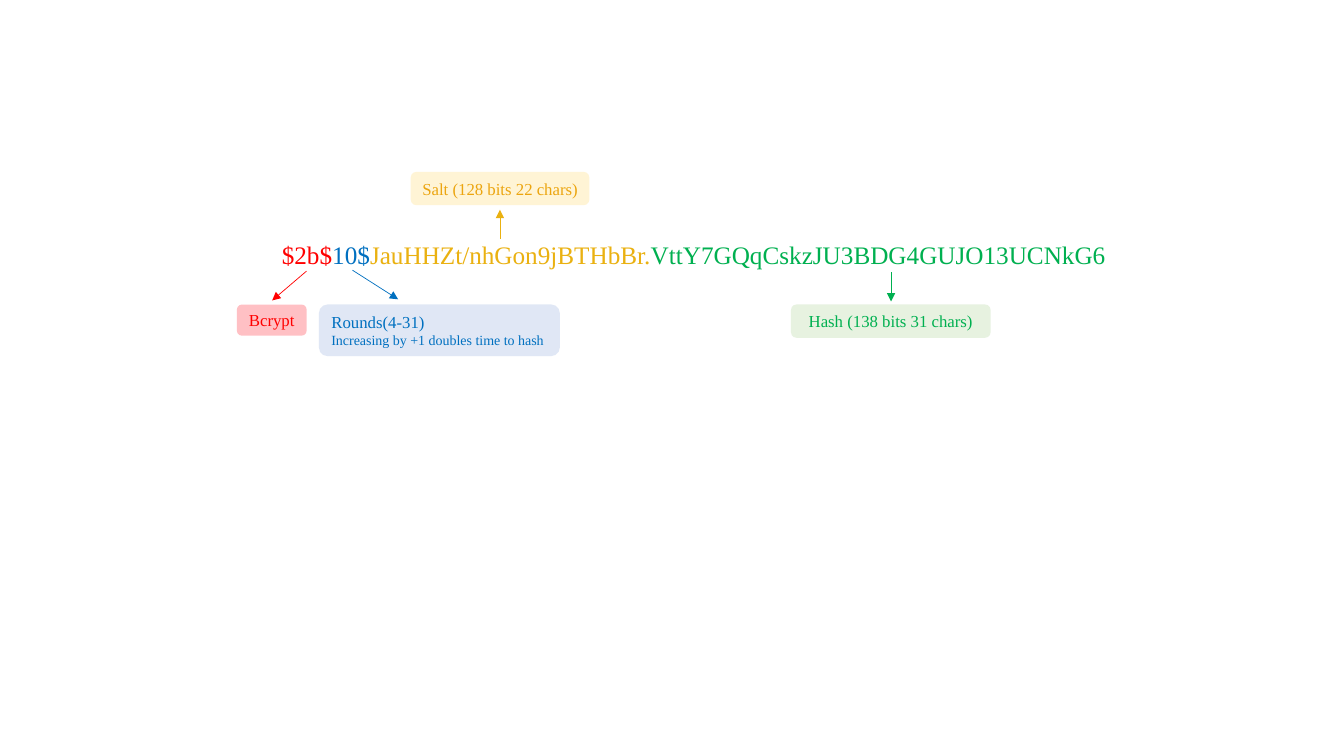
from pptx import Presentation
from pptx.dml.color import RGBColor
from pptx.enum.shapes import MSO_CONNECTOR, MSO_SHAPE
from pptx.enum.text import MSO_ANCHOR, MSO_AUTO_SIZE, PP_ALIGN
from pptx.oxml.ns import qn
from pptx.util import Pt
from lxml import etree

ROUND = MSO_SHAPE.ROUNDED_RECTANGLE
LINE = MSO_CONNECTOR.STRAIGHT
MIDDLE = MSO_ANCHOR.MIDDLE
GROW = MSO_AUTO_SIZE.SHAPE_TO_FIT_TEXT
LEFT, CENTER, JUSTIFY = PP_ALIGN.LEFT, PP_ALIGN.CENTER, PP_ALIGN.JUSTIFY

FONT = "Times New Roman"
ALPHA = "41000"
COLORS = {
    "red": "FF0000", "blue": "0070C0", "gold": "EAB111", "green": "00B050",
    "amber": "ECA50F", "pink": "FF6772", "sky": "B4C7E7", "cream": "FFE699",
    "mint": "C5E0B4",
}

# Parts of the hash string: text, color
PARTS = [
    ("$2b$", "red"),
    ("10$", "blue"),
    ("JauHHZt/nhGon9jBTHbBr.", "gold"),
    ("VttY7GQqCskzJU3BDG4GUJO13UCNkG6", "green"),
]
HASH_BOX = (194.2, 167.4, 612.7, 28.8)

# Labels: lines with sizes, box, fill, text color, alignment
ROW = 217.5
LABELS = [
    ([("Bcrypt", 12)], (169.2, ROW, 49.9, 22.3), "pink", "red", CENTER),
    ([("Rounds(4-31)", 12), ("Increasing by +1 doubles time to hash", 10)],
     (227.8, ROW, 172.1, 36.9), "sky", "blue", LEFT),
    ([("Salt (128 bits 22 chars)", 12)],
     (293.4, 122.8, 127.6, 23.8), "cream", "amber", LEFT),
    ([("Hash (138 bits 31 chars)", 12)],
     (565, ROW, 142.6, 23.8), "mint", "green", CENTER),
]

# Arrows: start x, start y, end x, end y, color
ARROWS = [
    (218.9, 193.7, 194.4, 214.6, "red"),
    (251.8, 193, 284.4, 213.8, "blue"),
    (357.1, 170.6, 357.1, 149.8, "gold"),
    (636.5, 194.4, 636.5, 215.3, "green"),
]


def rgb(name):
    return RGBColor.from_string(COLORS[name])


def style(run, size, color):
    run.font.name = FONT
    run.font.size = Pt(size)
    run.font.color.rgb = rgb(color)


def add_label(slide, lines, box, fill, color, align):
    shape = slide.shapes.add_shape(ROUND, *map(Pt, box))
    shape.shadow.inherit = False
    shape.line.fill.background()
    shape.fill.solid()
    shape.fill.fore_color.rgb = rgb(fill)
    tint = shape.fill._xPr.find(qn("a:solidFill"))[0]
    etree.SubElement(tint, qn("a:alpha"), val=ALPHA)
    frame = shape.text_frame
    frame.word_wrap = True
    frame.vertical_anchor = MIDDLE
    if align == LEFT:
        # Spare room on the right keeps each line whole
        frame.margin_right = Pt(2)
    frame.text = "\n".join(text for text, size in lines)
    for para, (text, size) in zip(frame.paragraphs, lines):
        para.alignment = align
        style(para.runs[0], size, color)


def add_arrow(slide, x1, y1, x2, y2, color):
    arrow = slide.shapes.add_connector(LINE, *map(Pt, (x1, y1, x2, y2)))
    arrow.line.width = Pt(0.5)
    arrow.line.color.rgb = rgb(color)
    etree.SubElement(arrow.line._get_or_add_ln(), qn("a:tailEnd"),
                     type="triangle")
    etree.SubElement(arrow._element.spPr, qn("a:effectLst"))


def main():
    deck = Presentation()
    deck.slide_width, deck.slide_height = Pt(960), Pt(540)
    slide = deck.slides.add_slide(deck.slide_layouts[6])

    # Hash string
    frame = slide.shapes.add_textbox(*map(Pt, HASH_BOX)).text_frame
    frame.word_wrap = True
    frame.auto_size = GROW
    para = frame.paragraphs[0]
    para.alignment = JUSTIFY
    for text, color in PARTS:
        run = para.add_run()
        run.text = text
        style(run, 18, color)

    # Labels and their arrows
    for label in LABELS:
        add_label(slide, *label)
    for arrow in ARROWS:
        add_arrow(slide, *arrow)

    deck.save("out.pptx")


if __name__ == "__main__":
    main()
